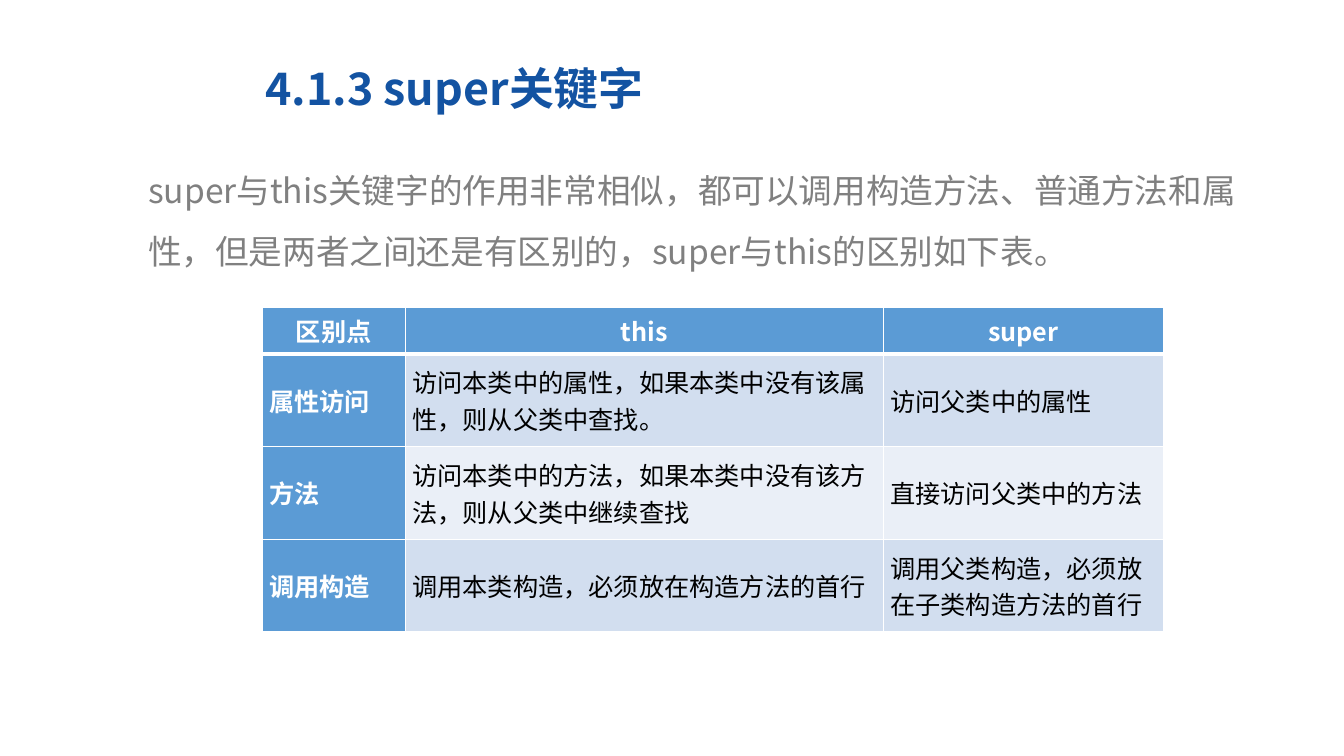
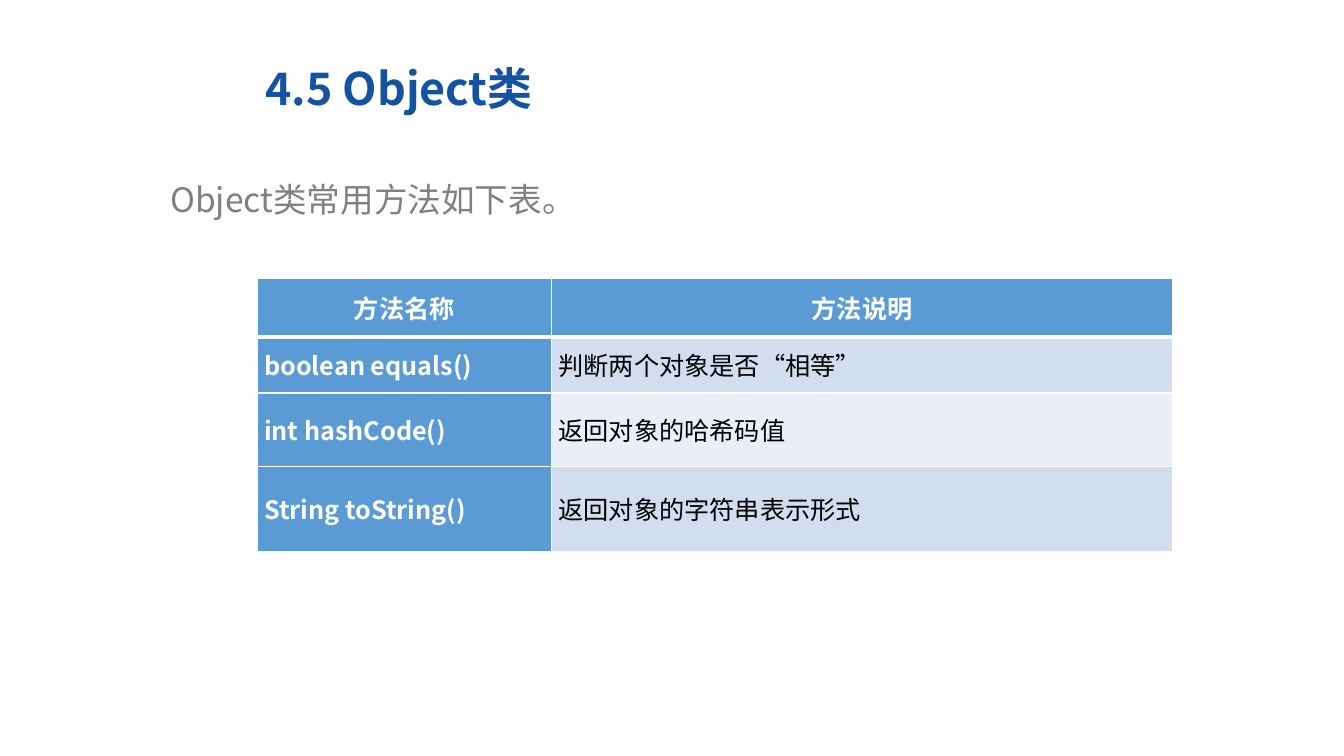
from dataclasses import dataclass

from lxml import etree
from pptx import Presentation
from pptx.dml.color import RGBColor
from pptx.enum.text import MSO_ANCHOR, PP_ALIGN
from pptx.oxml.ns import qn
from pptx.util import Inches, Pt

MIDDLE = MSO_ANCHOR.MIDDLE
CENTER, LEFT = PP_ALIGN.CENTER, PP_ALIGN.LEFT
BLANK_LAYOUT = 6


@dataclass(frozen=True)
class Theme:
    font: str = "Noto Sans CJK SC"
    title_color: str = "1353A2"
    body_color: str = "808080"
    label_color: str = "FFFFFF"
    cell_color: str = "000000"
    label_fill: str = "5B9BD5"
    band_fills: tuple = ("D2DEEF", "EAEFF7")
    grid_color: str = "FFFFFF"
    title_size: int = 32
    body_size: int = 24
    table_size: int = 18
    grid_line: int = 1
    header_line: int = 3
    cell_inset: float = 0.07


THEME = Theme()
SLIDE_SIZE = (13.33, 7.5)
TITLE_BOX = (2.53, 0.55, 8.09, 0.64)

SLIDES = [
    {
        "title": "4.1.3 super关键字",
        "intro": "super与this关键字的作用非常相似，都可以调用构造方法、普通方法和属性，"
                 "但是两者之间还是有区别的，super与this的区别如下表。",
        "intro_box": (1.37, 1.44, 11.23, 1.47),
        "table_origin": (2.6, 3.05),
        "columns": (1.42, 4.74, 2.78),
        "rows": (0.46, 0.92, 0.92, 0.92),
        "cells": [
            ("区别点", "this", "super"),
            ("属性访问", "访问本类中的属性，如果本类中没有该属性，则从父类中查找。",
             "访问父类中的属性"),
            ("方法", "访问本类中的方法，如果本类中没有该方法，则从父类中继续查找",
             "直接访问父类中的方法"),
            ("调用构造", "调用本类构造，必须放在构造方法的首行",
             "调用父类构造，必须放在子类构造方法的首行"),
        ],
    },
    {
        "title": "4.5 Object类",
        "intro": "Object类常用方法如下表。",
        "intro_box": (1.59, 1.53, 10.68, 1),
        "table_origin": (2.55, 2.76),
        "columns": (2.92, 6.16),
        "rows": (0.58, 0.56, 0.73, 0.84),
        "cells": [
            ("方法名称", "方法说明"),
            ("boolean equals()", "判断两个对象是否“相等”"),
            ("int hashCode()", "返回对象的哈希码值"),
            ("String toString()", "返回对象的字符串表示形式"),
        ],
    },
]


def write(paragraph, text, size, color, bold=False):
    """Add one run, with the theme font for both Latin and Chinese text."""
    run = paragraph.add_run()
    run.text = text
    font = run.font
    font.size, font.bold, font.name = Pt(size), bold, THEME.font
    font.color.rgb = RGBColor.from_string(color)
    east_asian = etree.SubElement(run._r.get_or_add_rPr(), qn("a:ea"))
    east_asian.set("typeface", THEME.font)


def add_text(slide, box, text, size, color, bold=False, line_spacing=None):
    frame = slide.shapes.add_textbox(*map(Inches, box)).text_frame
    frame.word_wrap = True
    paragraph = frame.paragraphs[0]
    paragraph.line_spacing = line_spacing
    write(paragraph, text, size, color, bold)


def set_borders(cell, top, bottom):
    """Draw the grid lines; top and bottom are widths in points."""
    side = THEME.grid_line
    widths = {"lnL": side, "lnR": side, "lnT": top, "lnB": bottom}
    properties = cell._tc.get_or_add_tcPr()
    for position, (tag, width) in enumerate(widths.items()):
        line = etree.Element(qn(f"a:{tag}"), w=str(Pt(width)))
        fill = etree.SubElement(line, qn("a:solidFill"))
        etree.SubElement(fill, qn("a:srgbClr"), val=THEME.grid_color)
        properties.insert(position, line)


def style_cell(cell, text, row, column):
    is_header = row == 0
    is_label = is_header or column == 0
    bands = THEME.band_fills
    fill = THEME.label_fill if is_label else bands[(row - 1) % len(bands)]
    cell.fill.solid()
    cell.fill.fore_color.rgb = RGBColor.from_string(fill)
    cell.vertical_anchor = MIDDLE
    cell.margin_left = cell.margin_right = Inches(THEME.cell_inset)
    cell.margin_top = cell.margin_bottom = 0
    paragraph = cell.text_frame.paragraphs[0]
    paragraph.alignment = CENTER if is_header else LEFT
    color = THEME.label_color if is_label else THEME.cell_color
    write(paragraph, text, THEME.table_size, color, is_label)
    set_borders(cell,
                top=THEME.header_line if row == 1 else THEME.grid_line,
                bottom=THEME.header_line if is_header else THEME.grid_line)


def add_comparison(slide, origin, columns, rows, cells):
    extent = (*origin, sum(columns), sum(rows))
    table = slide.shapes.add_table(
        len(rows), len(columns), *map(Inches, extent)).table
    for column, width in zip(table.columns, columns):
        column.width = Inches(width)
    for row, height in zip(table.rows, rows):
        row.height = Inches(height)
    for r, texts in enumerate(cells):
        for c, text in enumerate(texts):
            style_cell(table.cell(r, c), text, r, c)


def main():
    deck = Presentation()
    deck.slide_width, deck.slide_height = map(Inches, SLIDE_SIZE)
    for content in SLIDES:
        slide = deck.slides.add_slide(deck.slide_layouts[BLANK_LAYOUT])
        add_text(slide, TITLE_BOX, content["title"],
                 THEME.title_size, THEME.title_color, bold=True)
        add_text(slide, content["intro_box"], content["intro"],
                 THEME.body_size, THEME.body_color, line_spacing=1.5)
        add_comparison(slide, content["table_origin"], content["columns"],
                       content["rows"], content["cells"])
    deck.save("out.pptx")


if __name__ == "__main__":
    main()
